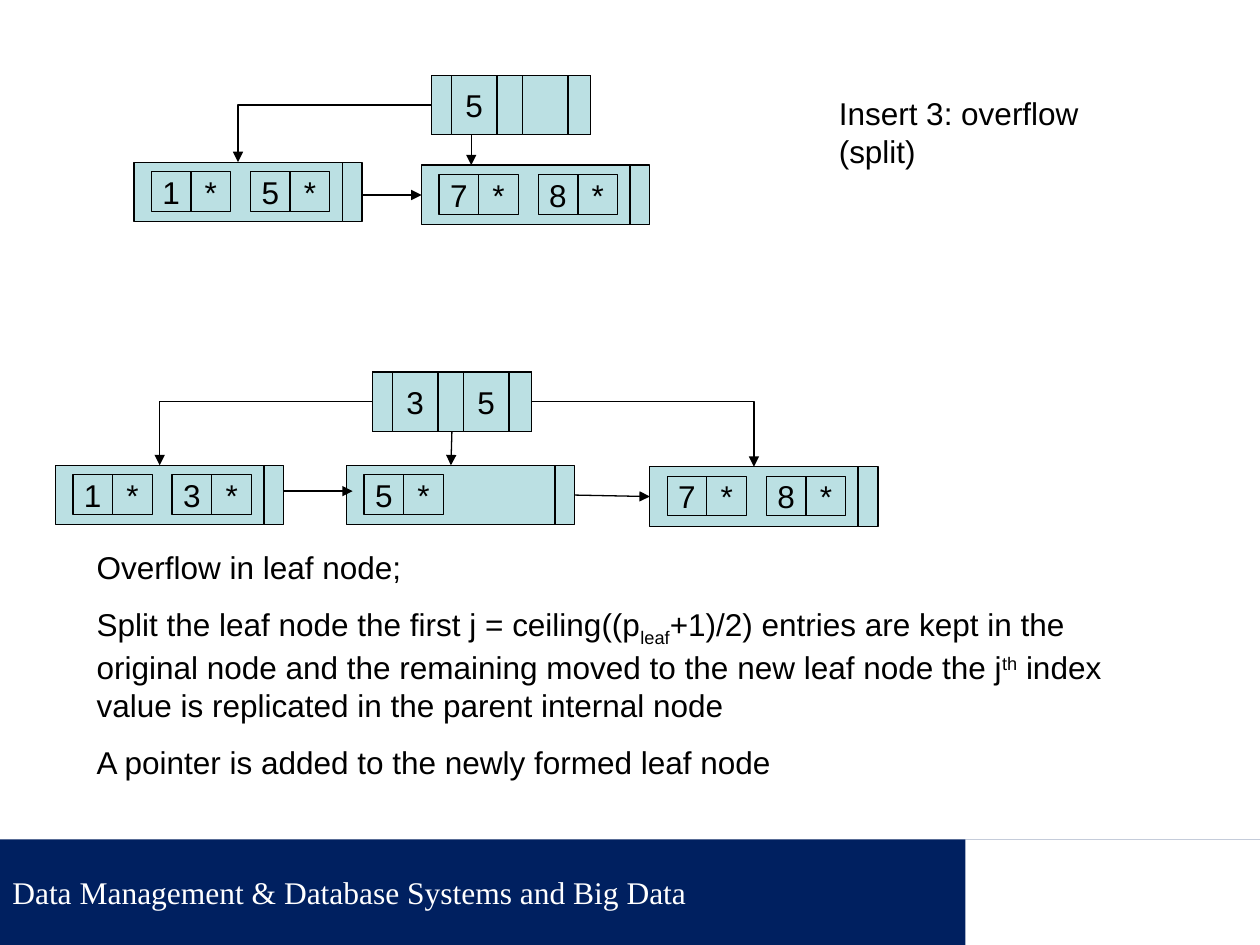
from dataclasses import dataclass

from lxml.etree import SubElement
from pptx import Presentation
from pptx.dml.color import RGBColor
from pptx.enum.shapes import MSO_CONNECTOR as Route, MSO_SHAPE as Preset
from pptx.enum.text import MSO_ANCHOR as Anchor, MSO_AUTO_SIZE as AutoSize, PP_ALIGN as Align
from pptx.oxml.ns import qn
from pptx.shapes.autoshape import Shape
from pptx.shapes.connector import Connector
from pptx.util import Cm, Pt

NODE_FILL, INK, NAVY, WHITE = "BBE0E3", "000000", "002060", "FFFFFF"
TOP, LEFT, BOTTOM, RIGHT = range(4)
NODE_HEIGHT = 1.2
POINTER_WIDTH = 0.4
LEAF_WIDTH = 4.2
CELL = 0.8
CELL_INSET, CELL_DROP, ENTRY_STEP = 0.35, 0.19, 2.0
ROOT_WIDTH = 3.2
KEY_WIDTH, KEY_STEP = 0.92, 1.43


@dataclass
class Leaf:
    left: float
    top: float
    keys: tuple[str, ...]


@dataclass
class Root:
    left: float
    top: float
    keys: tuple[str, ...]


@dataclass
class DrawnLeaf:
    body: Shape
    pointer: Shape


prs = Presentation()
prs.slide_width, prs.slide_height = Cm(25.4), Cm(19.05)
slide = prs.slides.add_slide(prs.slide_layouts[6])
shapes = slide.shapes


def color(hex_code: str) -> RGBColor:
    return RGBColor.from_string(hex_code)


def add_run(paragraph, text: str, ink: str = INK, font: str = "Arial", baseline: int = 0) -> None:
    """Append an 18 pt run; baseline is a percentage, negative for subscript."""
    run = paragraph.add_run()
    run.text = text
    run.font.name, run.font.size = font, Pt(18)
    run.font.color.rgb = color(ink)
    if baseline:
        run._r.get_or_add_rPr().set("baseline", str(baseline * 1000))


def add_box(left: float, top: float, width: float, height: float,
            fill: str = NODE_FILL, outlined: bool = True) -> Shape:
    box = shapes.add_shape(Preset.RECTANGLE, Cm(left), Cm(top), Cm(width), Cm(height))
    box.shadow.inherit = False
    box.fill.solid()
    box.fill.fore_color.rgb = color(fill)
    if outlined:
        box.line.color.rgb = color(INK)
        box.line.width = Pt(0.75)
    else:
        box.line.fill.background()
    return box


def add_cell(left: float, top: float, width: float, height: float, label: str) -> None:
    cell = add_box(left, top, width, height)
    frame = cell.text_frame
    frame.word_wrap = False
    frame.vertical_anchor = Anchor.MIDDLE
    frame.paragraphs[0].alignment = Align.CENTER
    add_run(frame.paragraphs[0], label)


def draw_leaf(leaf: Leaf) -> DrawnLeaf:
    body = add_box(leaf.left, leaf.top, LEAF_WIDTH, NODE_HEIGHT)
    pointer = add_box(leaf.left + LEAF_WIDTH, leaf.top, POINTER_WIDTH, NODE_HEIGHT)
    for index, key in enumerate(leaf.keys):
        left = leaf.left + CELL_INSET + index * ENTRY_STEP
        for offset, label in ((0, key), (CELL, "*")):
            add_cell(left + offset, leaf.top + CELL_DROP, CELL, CELL, label)
    return DrawnLeaf(body, pointer)


def draw_root(root: Root) -> Shape:
    body = add_box(root.left, root.top, ROOT_WIDTH, NODE_HEIGHT)
    add_box(root.left, root.top, POINTER_WIDTH, NODE_HEIGHT)
    for index, key in enumerate(root.keys):
        add_cell(root.left + POINTER_WIDTH + index * KEY_STEP, root.top,
                 KEY_WIDTH, NODE_HEIGHT, key)
    last = POINTER_WIDTH + KEY_STEP + KEY_WIDTH
    add_box(root.left + last, root.top, ROOT_WIDTH - last, NODE_HEIGHT)
    return body


def add_arrow(start: tuple[float, float] = (0, 0), end: tuple[float, float] = (0, 0),
              source: tuple[Shape, int] | None = None,
              target: tuple[Shape, int] | None = None, bent: bool = False) -> Connector:
    """Draw an arrow between points, or between sides of boxes where given."""
    route = Route.ELBOW if bent else Route.STRAIGHT
    arrow = shapes.add_connector(route, *(Cm(value) for value in (*start, *end)))
    if source:
        arrow.begin_connect(*source)
    if target:
        arrow.end_connect(*target)
    arrow.line.color.rgb = color(INK)
    arrow.line.width = Pt(0.75)
    properties = arrow._element.spPr
    if bent:
        properties.find(qn("a:prstGeom")).set("prst", "bentConnector2")
    SubElement(arrow.line._get_or_add_ln(), qn("a:tailEnd"), type="triangle")
    SubElement(properties, qn("a:effectLst"))
    return arrow


def add_text_box(left: float, top: float, width: float, height: float, wrap: bool):
    frame = shapes.add_textbox(Cm(left), Cm(top), Cm(width), Cm(height)).text_frame
    frame.word_wrap = wrap
    frame.auto_size = AutoSize.SHAPE_TO_FIT_TEXT
    return frame


# Footer
footer = add_box(0, 16.92, 25.4, 2.13, NAVY, outlined=False)
footer.text_frame.vertical_anchor = Anchor.MIDDLE
footer.text_frame.paragraphs[0].alignment = Align.LEFT
add_run(footer.text_frame.paragraphs[0], "Data Management & Database Systems and Big Data",
        WHITE, "Times New Roman")
add_box(19.46, 16.92, 5.94, 2.13, WHITE, outlined=False)

# Tree before the insertion
before_left = draw_leaf(Leaf(2.7, 3.27, ("1", "5")))
before_right = draw_leaf(Leaf(8.5, 3.33, ("7", "8")))
before_root = draw_root(Root(8.7, 1.52, ("5", "")))
add_arrow((9.5, 2.72), (9.5, 3.33))
add_arrow((7.3, 3.93), target=(before_right.body, LEFT))
add_arrow(source=(before_root, LEFT), target=(before_left.body, TOP), bent=True)

heading = add_text_box(16.66, 1.78, 7.06, 1.02, wrap=False)
add_run(heading.paragraphs[0], "Insert 3: overflow (split)")

# Tree after the split
after_left = draw_leaf(Leaf(1.12, 9.38, ("1", "3")))
after_middle = draw_leaf(Leaf(6.99, 9.38, ("5",)))
after_right = draw_leaf(Leaf(13.1, 9.41, ("7", "8")))
after_root = draw_root(Root(7.51, 7.5, ("3", "5")))
add_arrow(source=(after_root, BOTTOM), target=(after_middle.body, TOP))
add_arrow((5.7, 9.9), (7.11, 9.9))
add_arrow(source=(after_middle.pointer, RIGHT), target=(after_right.body, LEFT))
for side, leaf in ((LEFT, after_left), (RIGHT, after_right)):
    add_arrow(source=(after_root, side), target=(leaf.body, TOP), bent=True)

# Explanation: each paragraph is a list of (text, baseline) runs
EXPLANATION = [
    [("Overflow in leaf node;", 0)],
    [("Split the leaf node the first j = ceiling((p", 0), ("leaf", -25),
     ("+1)/2) entries are kept in the original node and the remaining moved "
      "to the new leaf node the j", 0), ("th", 30),
     (" index value is replicated in the parent internal node", 0)],
    [("A pointer is added to the newly formed leaf node", 0)],
]
explanation = add_text_box(1.7, 10.92, 21, 4.98, wrap=True)
for index, runs in enumerate(EXPLANATION):
    paragraph = explanation.add_paragraph() if index else explanation.paragraphs[0]
    paragraph.space_before = Pt(11.2)
    for text, baseline in runs:
        add_run(paragraph, text, baseline=baseline)

prs.save("out.pptx")
